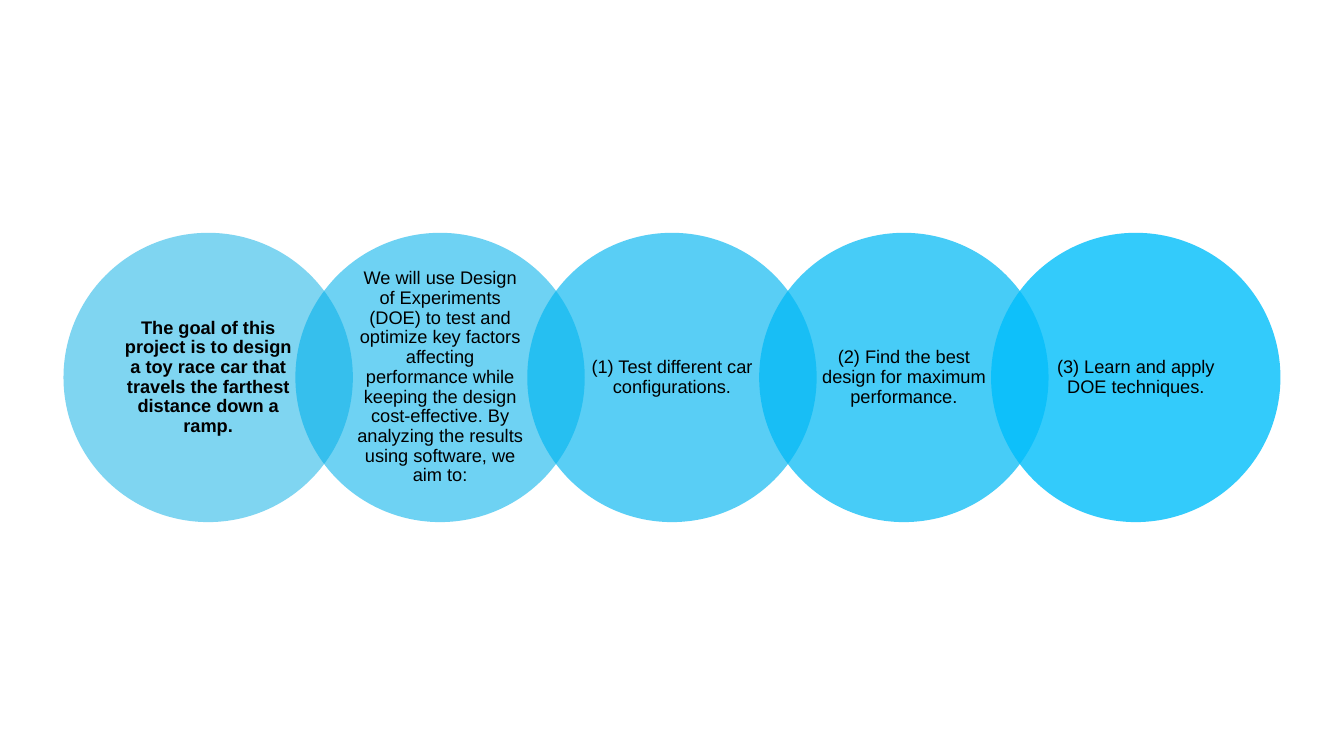
from dataclasses import dataclass

from lxml import etree
from pptx import Presentation
from pptx.dml.color import RGBColor
from pptx.enum.shapes import MSO_SHAPE
from pptx.enum.text import MSO_ANCHOR, PP_ALIGN
from pptx.oxml.ns import qn
from pptx.slide import Slide
from pptx.util import Inches, Pt

ELLIPSE = MSO_SHAPE.OVAL
MIDDLE = MSO_ANCHOR.MIDDLE
CENTER = PP_ALIGN.CENTER

SLIDE_WIDTH, SLIDE_HEIGHT = 13.33, 7.5
MARGIN_LEFT = 0.63
COLUMN_WIDTH = 2.3
CIRCLE_TOP = 2.31
DIAMETER = 2.87
FIRST_OPACITY, LAST_OPACITY = 50, 80


@dataclass(frozen=True)
class Circle:
    """One circle of the chain with its text."""

    text: str
    color: str
    bold: bool = False


CIRCLES = [
    Circle(
        "The goal of this project is to design a toy race car that travels "
        "the farthest distance down a ramp.",
        "00ACE4",
        bold=True,
    ),
    Circle(
        "We will use Design of Experiments (DOE) to test and optimize key "
        "factors affecting performance while keeping the design "
        "cost-effective. By analyzing the results using software, we aim to:",
        "00B0EA",
    ),
    Circle("(1) Test different car configurations.", "00B5F0"),
    Circle("(2) Find the best design for maximum performance.", "00B9F5"),
    Circle("(3) Learn and apply DOE techniques.", "00BEFB"),
]


def rgb(color: str) -> RGBColor:
    """Turn a hex string into a colour."""
    return RGBColor.from_string(color)


def set_fill(shape, color: str, opacity: float) -> None:
    """Fill a shape with a partly transparent colour."""
    shape.fill.solid()
    shape.fill.fore_color.rgb = rgb(color)
    color_element = shape.fill._xPr.find(qn("a:solidFill"))[0]
    alpha = etree.SubElement(color_element, qn("a:alpha"))
    alpha.set("val", str(round(opacity * 1000)))


def add_circle(slide: Slide, circle: Circle, column: int) -> None:
    """Draw a circle in its column of the chain."""
    shape = slide.shapes.add_shape(
        ELLIPSE,
        Inches(MARGIN_LEFT + column * COLUMN_WIDTH),
        Inches(CIRCLE_TOP),
        Inches(DIAMETER),
        Inches(DIAMETER),
    )
    shape.shadow.inherit = False
    shape.line.fill.background()
    step = (LAST_OPACITY - FIRST_OPACITY) / (len(CIRCLES) - 1)
    set_fill(shape, circle.color, FIRST_OPACITY + column * step)

    frame = shape.text_frame
    frame.word_wrap = True
    frame.vertical_anchor = MIDDLE
    frame.margin_left = frame.margin_right = Inches(0.16)
    frame.margin_top = frame.margin_bottom = Inches(0.02)
    paragraph = frame.paragraphs[0]
    paragraph.alignment = CENTER
    paragraph.line_spacing = 0.9
    run = paragraph.add_run()
    run.text = circle.text
    run.font.name = "Arial"
    run.font.size = Pt(13)
    run.font.bold = circle.bold
    run.font.color.rgb = rgb("000000")


def main() -> None:
    """Build the slide and save it."""
    presentation = Presentation()
    presentation.slide_width = Inches(SLIDE_WIDTH)
    presentation.slide_height = Inches(SLIDE_HEIGHT)
    slide = presentation.slides.add_slide(presentation.slide_layouts[6])
    for column, circle in enumerate(CIRCLES):
        add_circle(slide, circle, column)
    presentation.save("out.pptx")


if __name__ == "__main__":
    main()
